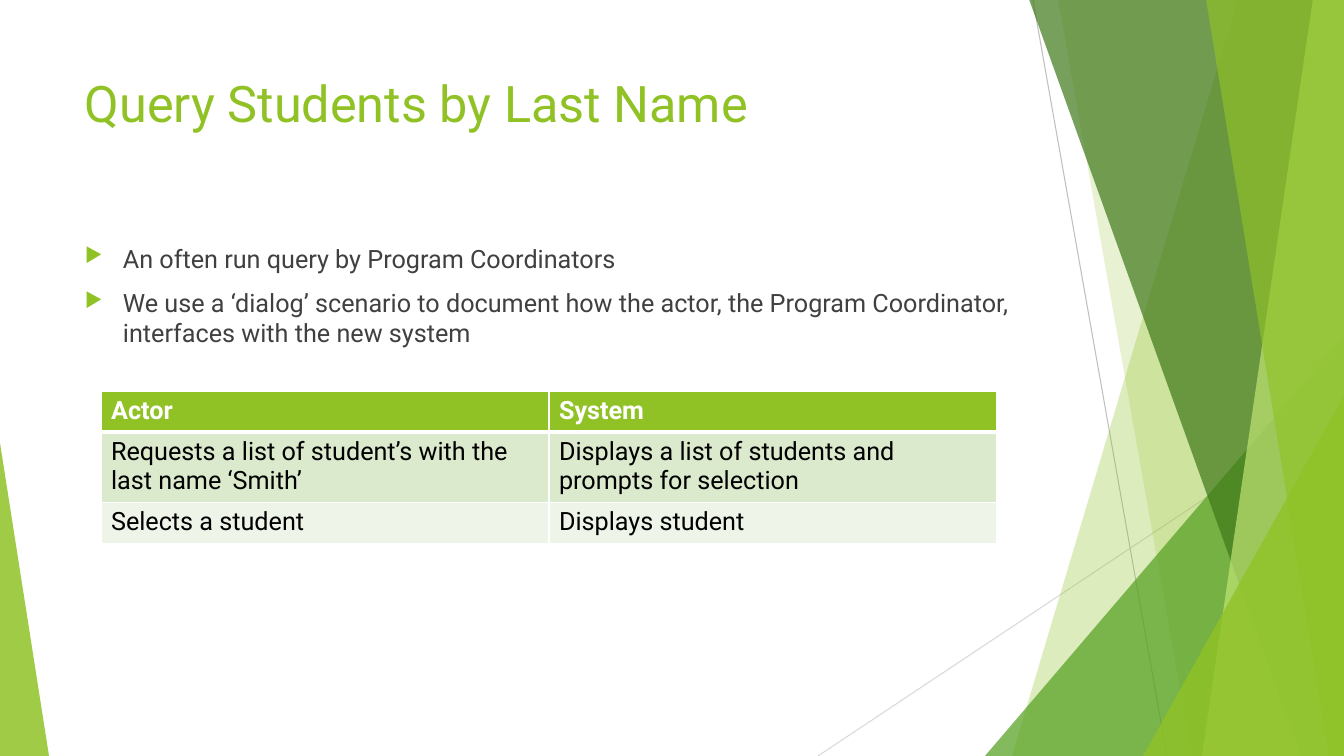
import pptx
import pptx.util
import pptx.dml.color
import pptx.enum.shapes
import pptx.enum.text
import pptx.oxml.ns
import lxml.etree

RGBColor = pptx.dml.color.RGBColor
LIME = RGBColor(0x90, 0xC2, 0x26)
GREEN = RGBColor(0x54, 0xA0, 0x21)
FOREST = RGBColor(0x3F, 0x78, 0x19)
PALE_LIME = RGBColor(0xC0, 0xE4, 0x74)
SILVER = RGBColor(0xBF, 0xBF, 0xBF)
LIGHT_GRAY = RGBColor(0xD9, 0xD9, 0xD9)
CHARCOAL = RGBColor(0x40, 0x40, 0x40)
BLACK = RGBColor(0x00, 0x00, 0x00)
WHITE = RGBColor(0xFF, 0xFF, 0xFF)
BAND_DARK = RGBColor(0xDB, 0xE9, 0xCD)
BAND_LIGHT = RGBColor(0xEE, 0xF4, 0xE8)

PX = 914400 / 100.8
WIDTH, HEIGHT = 1344, 756


def px(*lengths):
    return [pptx.util.Emu(round(length * PX)) for length in lengths]


def add_xml(parent, tag, **attributes):
    child = lxml.etree.SubElement(parent, pptx.oxml.ns.qn(tag))
    for key, value in attributes.items():
        child.set(key, str(value))
    return child


deck = pptx.Presentation()
deck.slide_width, deck.slide_height = px(WIDTH, HEIGHT)
slide = deck.slides.add_slide(deck.slide_layouts[6])
shapes = slide.shapes

for ends, color in [
    ((1033, 0, 1167, HEIGHT), SILVER),
    ((WIDTH, 406, 818, HEIGHT), LIGHT_GRAY),
]:
    ray = shapes.add_connector(pptx.enum.shapes.MSO_CONNECTOR.STRAIGHT, *px(*ends))
    ray.line.color.rgb = color
    ray.line.width = pptx.util.Pt(0.75)
    add_xml(ray._element.spPr, "a:effectLst")

facets = [
    ("band", (1238, 1012), LIME, 30),
    ("band", (1058, 1192), LIME, 20),
    ("right corner", (985, 336, 359, 420), GREEN, 72),
    ("band", (1029, 1301), FOREST, 70),
    ("band", (1313, 1202), PALE_LIME, 70),
    ("band", (1206, 1329), LIME, 65),
    ("right corner", (1143, 396, 201, 360), LIME, 80),
    ("left corner", (0, 443, 49, 313), LIME, 85),
]
for kind, place, color, opacity in facets:
    if kind == "band":
        top_x, bottom_x = place
        outline = shapes.build_freeform(top_x, -1, scale=PX)
        outline.add_line_segments([(WIDTH, -1), (WIDTH, HEIGHT), (bottom_x, HEIGHT)])
        facet = outline.convert_to_shape()
    else:
        facet = shapes.add_shape(
            pptx.enum.shapes.MSO_SHAPE.ISOSCELES_TRIANGLE, *px(*place))
        facet.adjustments[0] = 1 if kind == "right corner" else 0
    facet.shadow.inherit = False
    facet.line.fill.background()
    facet.fill.solid()
    facet.fill.fore_color.rgb = color
    fill_color = facet._element.spPr.find(".//" + pptx.oxml.ns.qn("a:srgbClr"))
    add_xml(fill_color, "a:alpha", val=opacity * 1000)

heading = {"size": pptx.util.Pt(36), "name": "Roboto"}
reading = {"size": pptx.util.Pt(18), "name": "Roboto"}

title = shapes.add_textbox(*px(75, 67, 948, 145)).text_frame
title.word_wrap = True
title_run = title.paragraphs[0].add_run()
title_run.text = "Query Students by Last Name"
title_run.font.color.rgb = LIME
for key, value in heading.items():
    setattr(title_run.font, key, value)

points = [
    "An often run query by Program Coordinators",
    "We use a ‘dialog’ scenario to document how the actor, the Program Coordinator, "
    "interfaces with the new system",
]
body = shapes.add_textbox(*px(75, 238, 948, 427)).text_frame
body.word_wrap = True
indent, = px(38)
for number, point in enumerate(points):
    paragraph = body.add_paragraph() if number else body.paragraphs[0]
    paragraph.space_before = pptx.util.Pt(10)
    run = paragraph.add_run()
    run.text = point
    run.font.color.rgb = CHARCOAL
    for key, value in reading.items():
        setattr(run.font, key, value)
    properties = paragraph._p.get_or_add_pPr()
    properties.set("marL", str(indent))
    properties.set("indent", str(-indent))
    add_xml(add_xml(properties, "a:buClr"), "a:srgbClr", val=LIME)
    add_xml(properties, "a:buSzPct", val=80000)
    add_xml(properties, "a:buChar", char="▶")

dialog = [
    (41, LIME, WHITE, True, ("Actor", "System")),
    (69, BAND_DARK, BLACK, False, (
        "Requests a list of student’s with the last name ‘Smith’",
        "Displays a list of students and prompts for selection")),
    (41, BAND_LIGHT, BLACK, False, ("Selects a student", "Displays student")),
]
scenario = shapes.add_table(len(dialog), 2, *px(101, 391, 896, 151)).table
for column in scenario.columns:
    column.width, = px(448)
for row, (height, background, ink, bold, texts) in enumerate(dialog):
    scenario.rows[row].height, = px(height)
    for column, text in enumerate(texts):
        cell = scenario.cell(row, column)
        run = cell.text_frame.paragraphs[0].add_run()
        run.text = text
        run.font.color.rgb = ink
        for key, value in {**reading, "bold": bold}.items():
            setattr(run.font, key, value)
        cell_properties = cell._tc.get_or_add_tcPr()
        for side in ("lnL", "lnR", "lnT", "lnB"):
            under_header = (row, side) in [(0, "lnB"), (1, "lnT")]
            border = add_xml(cell_properties, "a:" + side,
                             w=pptx.util.Pt(3 if under_header else 1))
            add_xml(add_xml(border, "a:solidFill"), "a:srgbClr", val=WHITE)
        cell.fill.solid()
        cell.fill.fore_color.rgb = background

deck.save("out.pptx")
